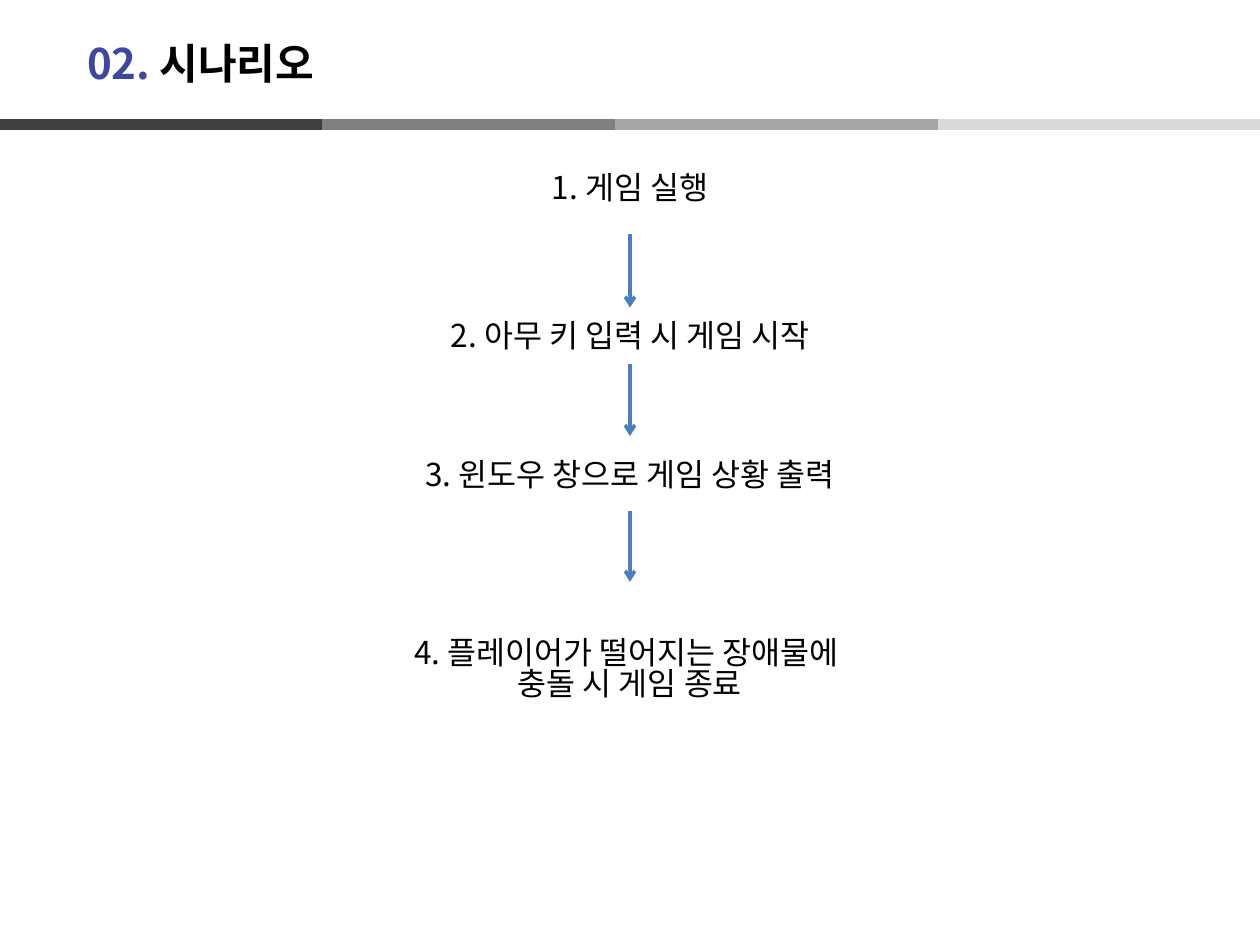
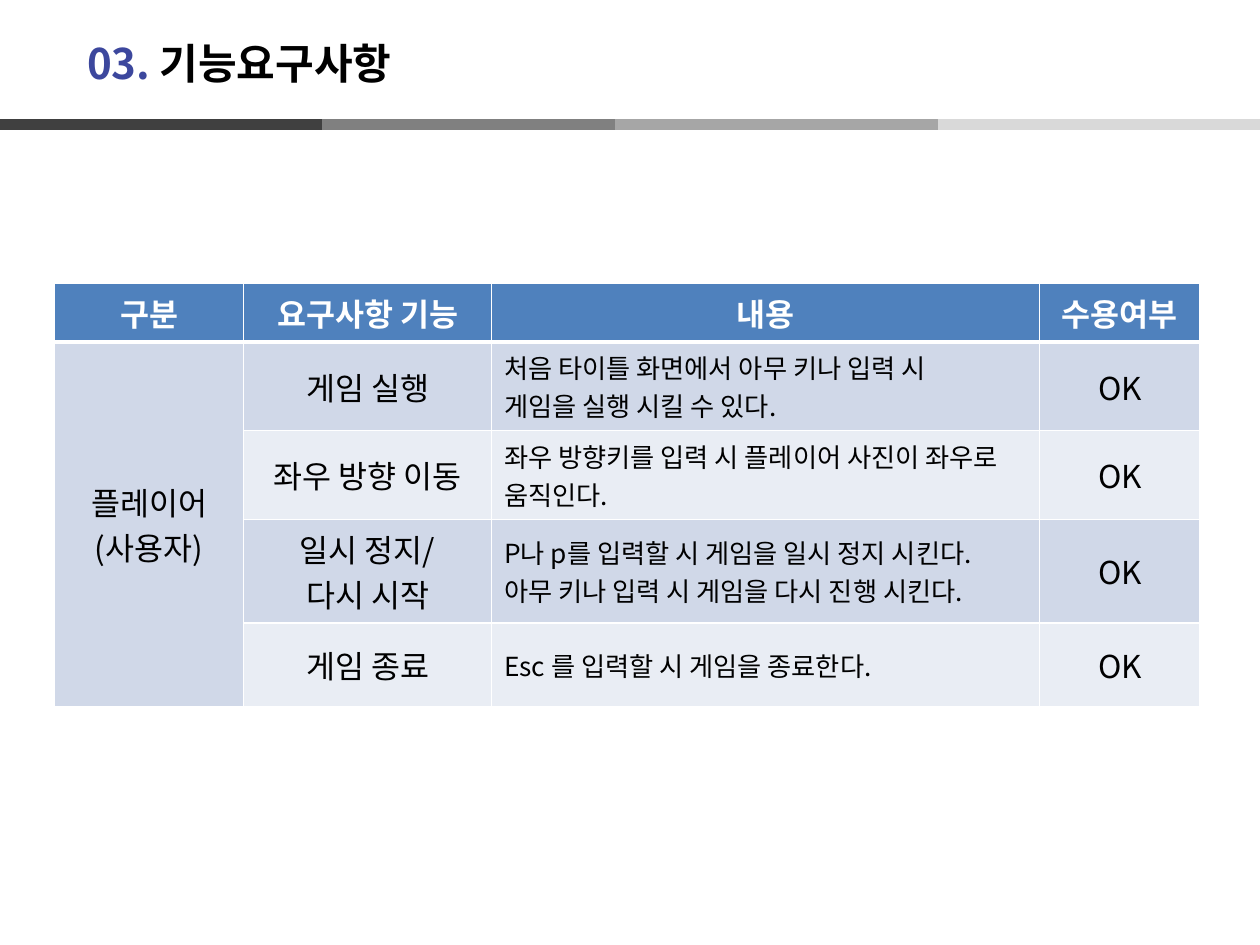
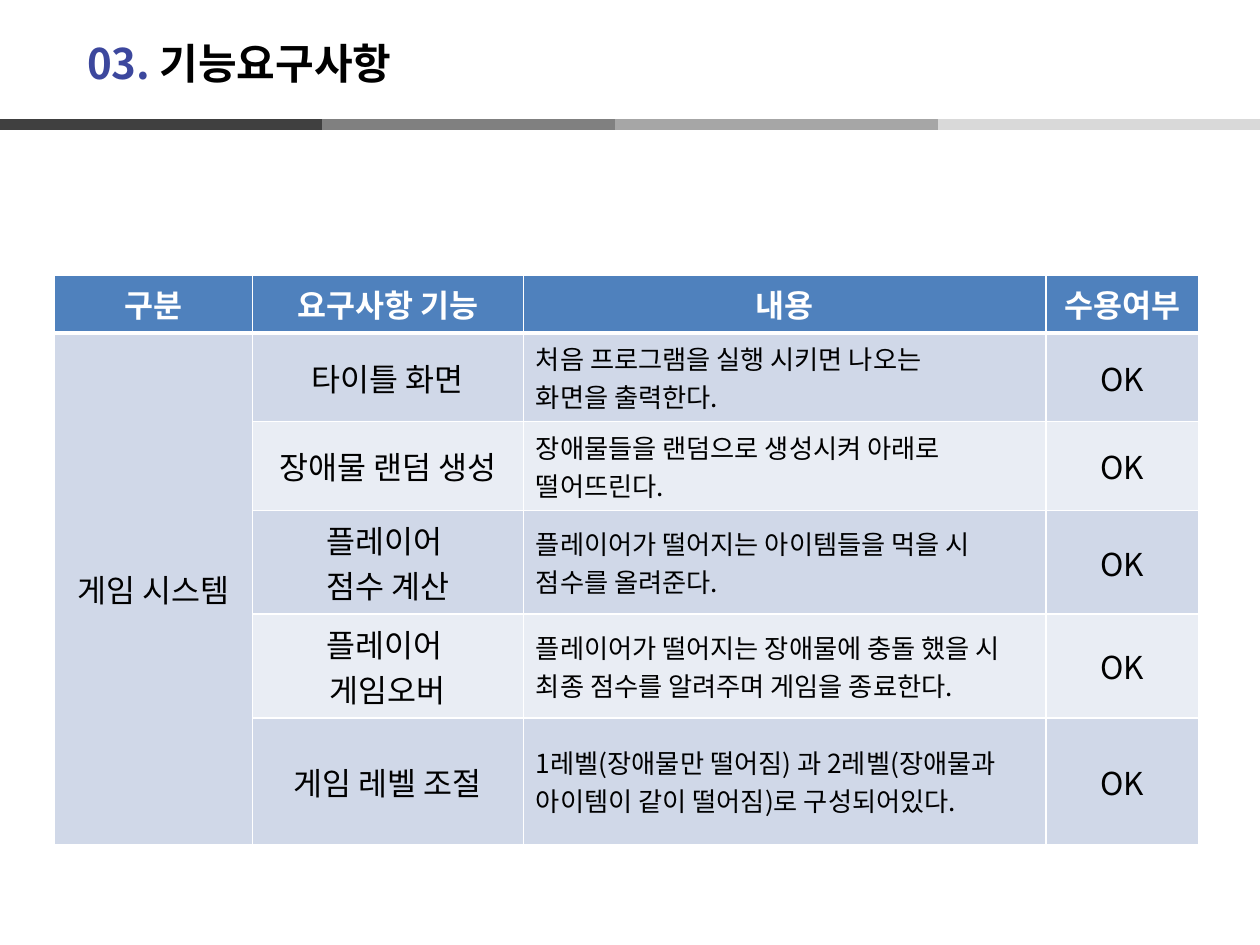
from lxml.etree import SubElement
from pptx import Presentation
from pptx.dml.color import RGBColor
from pptx.enum.shapes import MSO_CONNECTOR
from pptx.enum.text import MSO_ANCHOR, MSO_AUTO_SIZE, PP_ALIGN
from pptx.oxml.ns import qn
from pptx.util import Cm, Pt

FONT = "Noto Sans CJK KR"
BLACK, WHITE = "000000", "FFFFFF"
NUMBER_BLUE, ARROW_BLUE, HEADER_BLUE = "3C479D", "4B7EBC", "4F81BD"
ROW_FILLS = ["D0D8E8", "E9EDF4"]
PAGE_WIDTH, PAGE_HEIGHT = 25.4, 19.05
BAND_LENGTH = 6.5

HEADER = ["구분", "요구사항 기능", "내용", "수용여부"]
# Top, line count and width come from the flow: (text, top, width)
STEPS = [
    ("1. 게임 실행", 3.33, 4.27),
    ("2. 아무 키 입력 시 게임 시작", 6.32, 9.2),
    ("3. 윈도우 창으로 게임 상황 출력", 9.12, 10),
    ("4. 플레이어가 떨어지는 장애물에 \n충돌 시 게임 종료", 12.52, 10),
]
STEP_ARROWS = [(4.72, 6.2), (7.34, 8.79), (10.31, 11.73)]

PLAYER_FEATURES = [
    ("게임 실행", "처음 타이틀 화면에서 아무 키나 입력 시\n게임을 실행 시킬 수 있다."),
    ("좌우 방향 이동", "좌우 방향키를 입력 시 플레이어 사진이 좌우로 움직인다."),
    ("일시 정지/\n다시 시작",
     "P나 p를 입력할 시 게임을 일시 정지 시킨다.\n아무 키나 입력 시 게임을 다시 진행 시킨다."),
    ("게임 종료", "Esc 를 입력할 시 게임을 종료한다."),
]
SYSTEM_FEATURES = [
    ("타이틀 화면", "처음 프로그램을 실행 시키면 나오는\n화면을 출력한다."),
    ("장애물 랜덤 생성", "장애물들을 랜덤으로 생성시켜 아래로 떨어뜨린다."),
    ("플레이어 \n점수 계산", "플레이어가 떨어지는 아이템들을 먹을 시 점수를 올려준다."),
    ("플레이어 \n게임오버",
     "플레이어가 떨어지는 장애물에 충돌 했을 시 최종 점수를 알려주며 게임을 종료한다."),
    ("게임 레벨 조절",
     "1레벨(장애물만 떨어짐) 과 2레벨(장애물과 아이템이 같이 떨어짐)로 구성되어있다."),
]


def color(hex_code):
    return RGBColor.from_string(hex_code)


def format_run(run, size, hex_code, bold=False):
    run.font.size = Pt(size)
    run.font.bold = bold
    run.font.color.rgb = color(hex_code)
    run.font.name = FONT
    SubElement(run._r.get_or_add_rPr(), qn("a:ea"), typeface=FONT)


def write(frame, text, size, hex_code=BLACK, bold=False, align=PP_ALIGN.CENTER):
    frame.text = text
    for paragraph in frame.paragraphs:
        paragraph.alignment = align
        for run in paragraph.runs:
            format_run(run, size, hex_code, bold)


def add_line(slide, start, end, hex_code, width, arrow=False):
    line = slide.shapes.add_connector(
        MSO_CONNECTOR.STRAIGHT, *(Cm(value) for value in (*start, *end)))
    line.line.color.rgb = color(hex_code)
    line.line.width = Pt(width)
    properties = line.element.spPr
    if arrow:
        SubElement(properties.find(qn("a:ln")), qn("a:tailEnd"), type="arrow")
    SubElement(properties, qn("a:effectLst"))
    return line


def add_layout_bands(layout, slide):
    """Draw the grey bands once and hand them to the shared layout."""
    starts = [PAGE_WIDTH - BAND_LENGTH * count for count in (3, 2, 1)] + [0]
    for left, shade in zip(starts, ["808080", "A6A6A6", "D9D9D9", "404040"]):
        band = add_line(slide, (left, 2.51), (left + BAND_LENGTH, 2.51), shade, 6)
        layout.shapes.element.append(band.element)


def add_titled_slide(deck, number, heading):
    slide = deck.slides.add_slide(deck.slide_layouts[5])
    title = slide.shapes.title
    title.left, title.top, title.width, title.height = Cm(1.5), Cm(0.51), Cm(19), Cm(1.52)
    frame = title.text_frame
    frame.vertical_anchor = MSO_ANCHOR.MIDDLE
    frame.auto_size = MSO_AUTO_SIZE.NONE
    frame.paragraphs[0].alignment = PP_ALIGN.LEFT
    for text, hex_code in [(number + " ", NUMBER_BLUE), (heading, BLACK)]:
        run = frame.paragraphs[0].add_run()
        run.text = text
        format_run(run, 24, hex_code, bold=True)
    return slide


def add_step(slide, text, top, width):
    height = 1 + text.count("\n")
    step = slide.shapes.add_textbox(
        Cm((PAGE_WIDTH - width) / 2), Cm(top), Cm(width), Cm(height))
    frame = step.text_frame
    frame.word_wrap = True
    frame.vertical_anchor = MSO_ANCHOR.MIDDLE
    write(frame, text, 18)
    for paragraph in frame.paragraphs:
        paragraph.line_spacing = 0.83


def format_cell(cell, row):
    cell.vertical_anchor = MSO_ANCHOR.MIDDLE
    cell.fill.solid()
    cell.fill.fore_color.rgb = color(ROW_FILLS[(row - 1) % 2] if row else HEADER_BLUE)
    # Borders stand before the fill; the rule under the header is thicker
    properties = cell._tc.get_or_add_tcPr()
    widths = {"lnL": 1, "lnR": 1, "lnT": 3 if row == 1 else 1, "lnB": 1 if row else 3}
    for position, (side, width) in enumerate(widths.items()):
        border = SubElement(properties, qn("a:" + side), w=str(Pt(width)))
        SubElement(SubElement(border, qn("a:solidFill")), qn("a:srgbClr"), val=WHITE)
        properties.insert(position, border)


def add_requirements(slide, group, features, top, column_widths, header_height):
    rows = [HEADER] + [("", name, detail, "OK") for name, detail in features]
    row_heights = [header_height] + [1.68] * len(features)
    table = slide.shapes.add_table(
        len(rows), len(HEADER), Cm(1.1), Cm(top),
        Cm(sum(column_widths)), Cm(sum(row_heights))).table
    for column, width in zip(table.columns, column_widths):
        column.width = Cm(width)
    for table_row, height in zip(table.rows, row_heights):
        table_row.height = Cm(height)

    for row, texts in enumerate(rows):
        for column, text in enumerate(texts):
            cell = table.cell(row, column)
            format_cell(cell, row)
            if row == 0:
                write(cell.text_frame, text, 18, WHITE, bold=True)
            elif column == 2:
                write(cell.text_frame, text, 15, align=PP_ALIGN.LEFT)
            elif column:
                write(cell.text_frame, text, 18)

    # The group name spans all feature rows
    group_cell = table.cell(1, 0)
    group_cell.merge(table.cell(len(features), 0))
    write(group_cell.text_frame, group, 18)


def main():
    deck = Presentation()
    deck.slide_width, deck.slide_height = Cm(PAGE_WIDTH), Cm(PAGE_HEIGHT)

    # Scenario
    scenario = add_titled_slide(deck, "02.", "시나리오")
    add_layout_bands(deck.slide_layouts[5], scenario)
    center = PAGE_WIDTH / 2
    for start, end in STEP_ARROWS:
        add_line(scenario, (center, start), (center, end), ARROW_BLUE, 2, arrow=True)
    for step in STEPS:
        add_step(scenario, *step)

    # Requirements of the player
    player = add_titled_slide(deck, "03.", "기능요구사항")
    add_requirements(player, "플레이어\n(사용자)", PLAYER_FEATURES, 5.72,
                     [3.81, 5, 11.05, 3.23], 1.07)

    # Requirements of the game system
    system = add_titled_slide(deck, "03.", "기능요구사항")
    add_requirements(system, "게임 시스템", SYSTEM_FEATURES, 5.54,
                     [3.99, 5.46, 10.54, 3.07], 0.66)

    deck.save("out.pptx")


if __name__ == "__main__":
    main()
